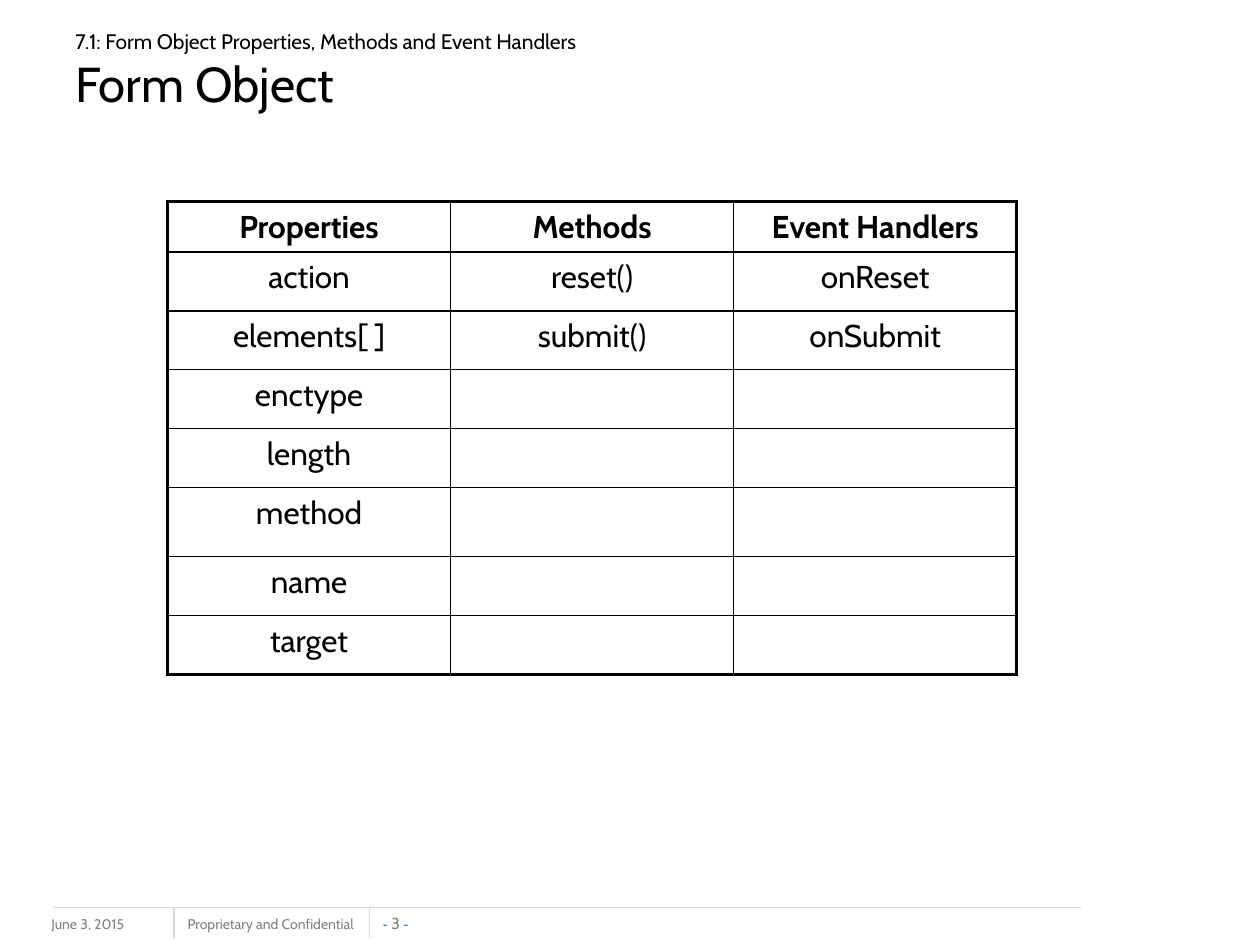
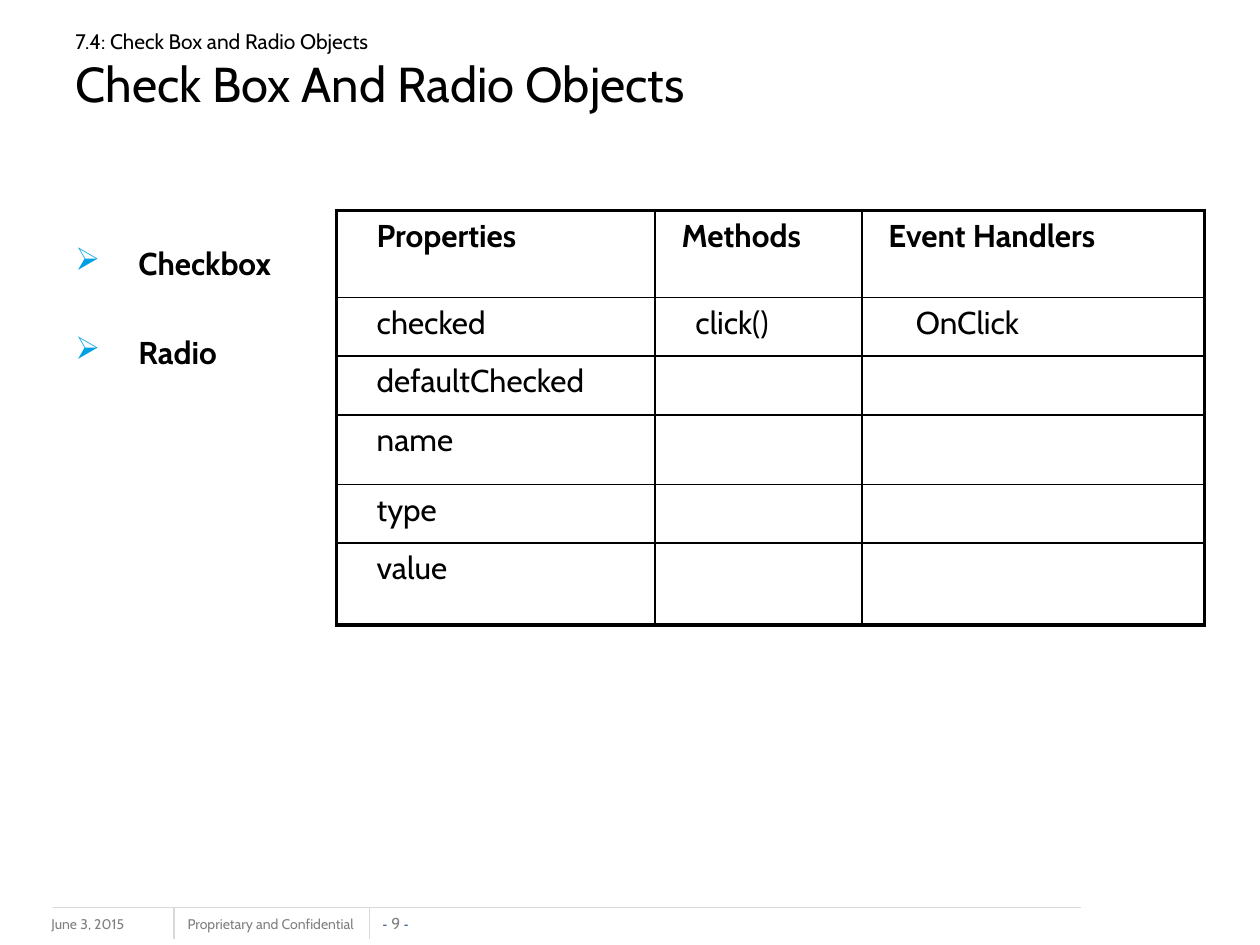
from dataclasses import dataclass
from itertools import zip_longest

from lxml import etree
from pptx import Presentation, util as u
from pptx.dml.color import RGBColor
from pptx.enum import shapes, text
from pptx.oxml import ns

COLS, ROWS = 100, 75
CELL = u.Inches(0.1)


@dataclass(frozen=True)
class Theme:
    ink: str = "000000"
    paper: str = "FFFFFF"
    muted: str = "808080"
    rule: str = "D9D9D9"
    dash: str = "1F497D"
    bullet: str = "00A1E4"
    font: str = "Cabin"
    dash_font: str = "Arial"
    title: float = 28
    body: float = 18
    section: float = 12
    number: float = 9
    footer: float = 8
    thick: float = 2.25
    thin: float = 1
    hair: float = 0.75


@dataclass(frozen=True)
class Box:
    x: float
    y: float
    w: float
    h: float

    def inner(self, x, y, w, h):
        return Box(self.x + x, self.y + y, w, h)

    def emu(self):
        return [grid(v) for v in (self.x, self.y, self.w, self.h)]


T = Theme()
PAGE = Box(0, 0, COLS, ROWS)
TITLE = PAGE.inner(5, 1.7, 90, 7.8)
FOOTER = PAGE.inner(4.2, 72, 81.6, 2.5)


def grid(cells):
    return int(cells * CELL)


def add_run(p, words, size, color=T.ink, font=T.font, bold=False):
    r = p.add_run()
    r.text = words
    r.font.name = font
    r.font.size = u.Pt(size)
    r.font.bold = bold
    r.font.color.rgb = RGBColor.from_string(color)


def add_text(s, box, wrap=True, anchor=text.MSO_ANCHOR.TOP):
    tf = s.shapes.add_textbox(*box.emu()).text_frame
    tf.word_wrap = wrap
    tf.vertical_anchor = anchor
    if not wrap:
        tf.auto_size = text.MSO_AUTO_SIZE.SHAPE_TO_FIT_TEXT
    return tf


def add_rule(s, x1, y1, x2, y2):
    line = s.shapes.add_connector(
        shapes.MSO_CONNECTOR.STRAIGHT, *map(grid, (x1, y1, x2, y2)))
    line.line.color.rgb = RGBColor.from_string(T.rule)
    line.line.width = u.Pt(T.hair)
    etree.SubElement(line._element.spPr, ns.qn("a:effectLst"))


def add_title(s, box, section, heading):
    tf = add_text(s, box, anchor=text.MSO_ANCHOR.MIDDLE)
    add_run(tf.paragraphs[0], section, T.section)
    add_run(tf.add_paragraph(), heading, T.title)


def add_footer(s, box, number):
    date = add_text(s, box.inner(-1.1, 0.2, 13.3, 2.5))
    add_run(date.paragraphs[0], "June 3, 2015", T.footer, T.muted)
    notice = add_text(s, box.inner(9.7, 0.2, 15.7, 2.4), wrap=False)
    add_run(notice.paragraphs[0], "Proprietary and Confidential", T.footer, T.muted)

    tf = add_text(s, box.inner(25.9, 0.5, 2.6, 1.5), False, text.MSO_ANCHOR.BOTTOM)
    tf.margin_left = tf.margin_right = tf.margin_top = tf.margin_bottom = 0
    p = tf.paragraphs[0]
    p.alignment = text.PP_ALIGN.CENTER
    add_run(p, "- ", T.footer, T.dash, T.dash_font)
    add_run(p, f"{number} ", T.number, T.muted)
    add_run(p, "-", T.footer, T.dash, T.dash_font)

    add_rule(s, box.x + box.w, box.y, box.x, box.y)
    for x in (9.6, 25.1):
        add_rule(s, box.x + x, box.y, box.x + x, box.y + box.h)


def add_borders(cell, widths):
    tcPr = cell._tc.get_or_add_tcPr()
    for side, width in zip("LRTB", widths):
        ln = etree.SubElement(tcPr, ns.qn(f"a:ln{side}"), w=str(u.Pt(width)))
        fill = etree.SubElement(ln, ns.qn("a:solidFill"))
        etree.SubElement(fill, ns.qn("a:srgbClr"), val=T.ink)


def add_members(s, box, members, widths, heights, align,
                head_indents=(0, 0, 0), body_indents=(0, 0, 0)):
    rows = list(zip_longest(*([head, *names] for head, names in members.items()),
                            fillvalue=""))
    table = s.shapes.add_table(len(rows), len(widths), *box.emu()).table
    table.first_row = table.horz_banding = False
    for column, width in zip(table.columns, widths):
        column.width = grid(width)
    last_row, last_col = len(rows) - 1, len(widths) - 1
    for i, (row, height) in enumerate(zip(rows, heights)):
        table.rows[i].height = grid(height)
        indents = body_indents if i else head_indents
        for j, words in enumerate(row):
            cell = table.cell(i, j)
            edges = (j == 0, j == last_col, i == 0, i == last_row)
            add_borders(cell, [T.thick if edge else T.thin for edge in edges])
            cell.fill.solid()
            cell.fill.fore_color.rgb = RGBColor.from_string(T.paper)
            if words:
                cell.margin_left = grid(1 + indents[j])
                p = cell.text_frame.paragraphs[0]
                p.alignment = align
                add_run(p, words, T.body, bold=i == 0)


def add_bullets(s, box, items):
    tf = add_text(s, box)
    tf.margin_top = grid(4.4)
    indent = grid(5)
    for i, item in enumerate(items):
        p = tf.add_paragraph() if i else tf.paragraphs[0]
        pPr = p._p.get_or_add_pPr()
        pPr.set("marL", str(indent))
        pPr.set("indent", str(-indent))
        color = etree.SubElement(pPr, ns.qn("a:buClr"))
        etree.SubElement(color, ns.qn("a:srgbClr"), val=T.bullet)
        etree.SubElement(pPr, ns.qn("a:buChar"), char="➢")
        if i:
            p.space_before = u.Pt(29)
        add_run(p, item, T.body, bold=True)


def add_page(prs, section, heading, number):
    s = prs.slides.add_slide(prs.slide_layouts[6])
    add_footer(s, FOOTER, number)
    add_title(s, TITLE, section, heading)
    return s


def form_slide(prs, box):
    s = add_page(prs, "7.1: Form Object Properties, Methods and Event Handlers",
                 "Form Object", 3)
    members = {
        "Properties": ["action", "elements[ ]", "enctype", "length", "method",
                       "name", "target"],
        "Methods": ["reset()", "submit()"],
        "Event Handlers": ["onReset", "onSubmit"],
    }
    heights = [4] + [4.67] * 4 + [5.5] + [4.67] * 2
    add_members(s, box.inner(13.3, 16, 67.4, 37.5), members, [67.4 / 3] * 3,
                heights, text.PP_ALIGN.CENTER)


def choice_slide(prs, box):
    s = add_page(prs, "7.4: Check Box and Radio Objects",
                 "Check Box And Radio Objects", 9)
    add_bullets(s, box.inner(5, 15, 93.1, 48.7), ["Checkbox", "Radio"])
    members = {
        "Properties": ["checked", "defaultChecked", "name", "type", "value"],
        "Methods": ["click()"],
        "Event Handlers": ["OnClick"],
    }
    add_members(s, box.inner(26.7, 16.7, 68.9, 33), members, [25.3, 16.4, 27.2],
                [6.9, 4.67, 4.67, 5.5, 4.67, 6.5], text.PP_ALIGN.LEFT,
                (2.2, 1.1, 1.1), (2.2, 2.2, 3.3))


def main():
    prs = Presentation()
    prs.slide_width, prs.slide_height = grid(COLS), grid(ROWS)
    form_slide(prs, PAGE)
    choice_slide(prs, PAGE)
    prs.save("out.pptx")


if __name__ == "__main__":
    main()
